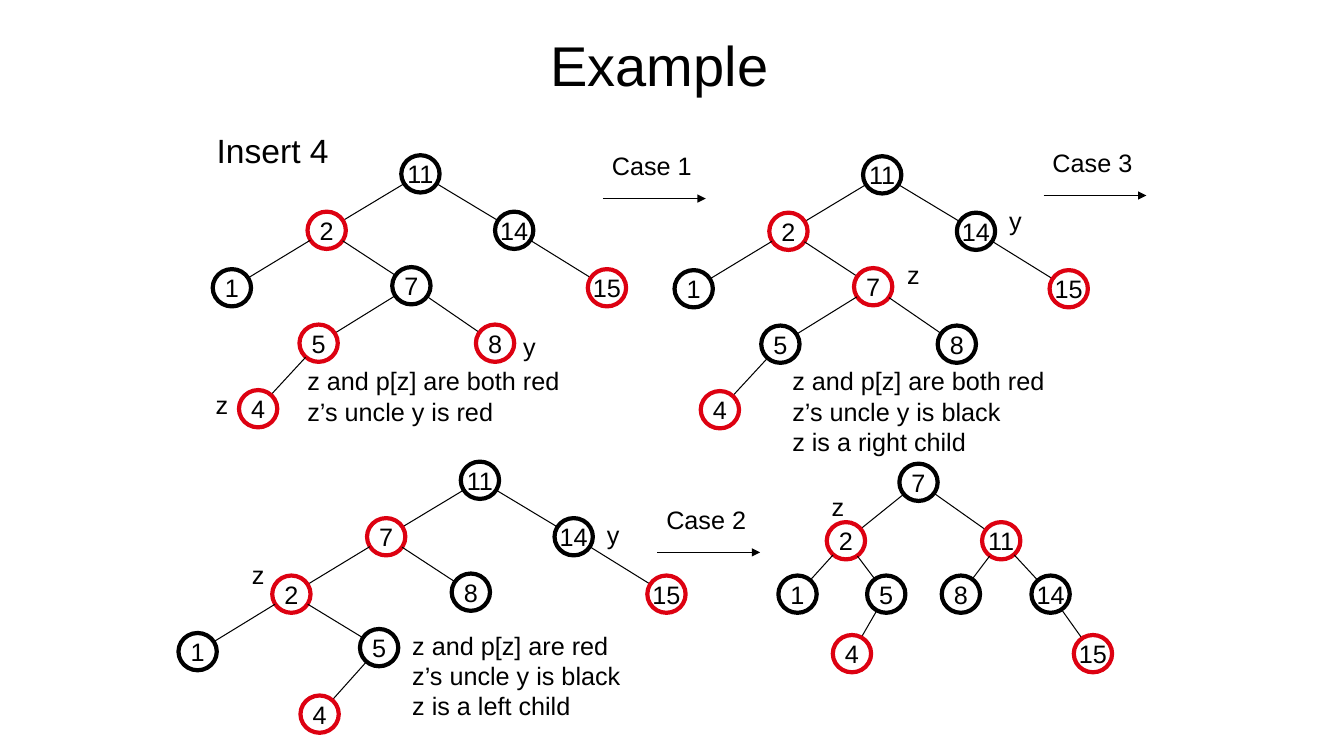
"""Build the slide that traces a red-black tree insertion through its cases."""
from math import hypot

from lxml.etree import SubElement
from pptx import Presentation
from pptx.dml.color import RGBColor
from pptx.enum.shapes import MSO_CONNECTOR, MSO_SHAPE
from pptx.enum.text import MSO_ANCHOR, PP_ALIGN
from pptx.oxml.ns import qn
from pptx.util import Pt

PX = 9144
BLACK = RGBColor(0x00, 0x00, 0x00)
RED = RGBColor(0xDD, 0x01, 0x11)
FONT = "Arial"
NODE_WIDTH, NODE_HEIGHT = 38, 37
RADIUS = 19

TITLE = "Example"
TITLE_BOX = (204, 14, 900, 99)

WIDE = {
    "": (0, 0), "L": (-93, 56), "R": (93, 56), "LL": (-187, 113),
    "LR": (-9, 111), "RR": (185, 113), "LRL": (-101, 168), "LRR": (74, 168),
    "LRLL": (-161, 233), "LLL": (-280, 170), "LLR": (-100, 166),
    "LLRL": (-159, 232),
}
COMPACT = {
    "": (0, 0), "L": (-72, 58), "R": (82, 58), "LL": (-120, 111),
    "LR": (-32, 111), "RL": (42, 111), "RR": (131, 111),
    "LRL": (-66, 170), "RRR": (173, 170),
}
TREES = [
    (WIDE, (398, 154),
     {"": 11, "L": 2, "R": 14, "LL": 1, "LR": 7, "RR": 15, "LRL": 5, "LRR": 8, "LRLL": 4},
     {2, 15, 5, 8, 4}),
    (WIDE, (856, 155),
     {"": 11, "L": 2, "R": 14, "LL": 1, "LR": 7, "RR": 15, "LRL": 5, "LRR": 8, "LRLL": 4},
     {2, 15, 7, 4}),
    (WIDE, (457, 458),
     {"": 11, "L": 7, "R": 14, "LL": 2, "LR": 8, "RR": 15, "LLL": 1, "LLR": 5, "LLRL": 4},
     {7, 2, 15, 4}),
    (COMPACT, (892, 460),
     {"": 7, "L": 2, "R": 11, "LL": 1, "LR": 5, "RL": 8, "RR": 14, "LRL": 4, "RRR": 15},
     {2, 11, 4, 15}),
]
HEADING = ("Insert 4", (205, 124, 131, 50))
NODE_LABELS = [
    ("y", 509, 324), ("z", 204, 381), ("z", 890, 252), ("y", 991, 199),
    ("z", 240, 550), ("y", 592, 510), ("z", 815, 483),
]
CASES = [("Case 1", 597, 144), ("Case 3", 1034, 141), ("Case 2", 651, 495)]
NOTES = [
    (["z and p[z] are both red", "z’s uncle y is red"], (295, 358, 270, 70)),
    (["z and p[z] are both red", "z’s uncle y is black", "z is a right child"],
     (776, 358, 270, 100)),
    (["z and p[z] are red", "z’s uncle y is black", "z is a left child"],
     (399, 620, 227, 100)),
]


def emu(*lengths):
    return [round(length * PX) for length in lengths]


def write(frame, lines, size=18, align=PP_ALIGN.LEFT, anchor=MSO_ANCHOR.TOP):
    frame.word_wrap = False
    frame.vertical_anchor = anchor
    for index, line in enumerate(lines):
        paragraph = frame.add_paragraph() if index else frame.paragraphs[0]
        paragraph.alignment = align
        run = paragraph.add_run()
        run.text = line
        run.font.name = FONT
        run.font.size = Pt(size)
        run.font.color.rgb = BLACK


def add_text(slide, lines, box, size=18):
    write(slide.shapes.add_textbox(*emu(*box)).text_frame, lines, size)


def add_line(slide, start, end, arrow=False):
    line = slide.shapes.add_connector(MSO_CONNECTOR.STRAIGHT, *emu(*start, *end))
    line.line.color.rgb = BLACK
    line.line.width = Pt(0.75)
    properties = line._element.spPr
    if arrow:
        SubElement(properties.find(qn("a:ln")), qn("a:tailEnd"), type="triangle")
    SubElement(properties, qn("a:effectLst"))


def add_edge(slide, parent, child):
    dx, dy = child[0] - parent[0], child[1] - parent[1]
    trim = RADIUS / hypot(dx, dy)
    start = (parent[0] + dx * trim, parent[1] + dy * trim)
    end = (child[0] - dx * trim, child[1] - dy * trim)
    add_line(slide, start, end)


def add_node(slide, key, center, color):
    left, top = center[0] - NODE_WIDTH / 2, center[1] - NODE_HEIGHT / 2
    node = slide.shapes.add_shape(MSO_SHAPE.OVAL, *emu(left, top, NODE_WIDTH, NODE_HEIGHT))
    node.shadow.inherit = False
    node.fill.background()
    node.line.color.rgb = color
    node.line.width = Pt(3)
    write(node.text_frame, [str(key)], align=PP_ALIGN.CENTER, anchor=MSO_ANCHOR.MIDDLE)


def add_tree(slide, layout, root, keys, red_keys):
    centers = {
        slot: (root[0] + layout[slot][0] + NODE_WIDTH / 2,
               root[1] + layout[slot][1] + NODE_HEIGHT / 2)
        for slot in keys
    }
    for slot, key in keys.items():
        if slot:
            add_edge(slide, centers[slot[:-1]], centers[slot])
        add_node(slide, key, centers[slot], RED if key in red_keys else BLACK)


def main():
    deck = Presentation()
    deck.slide_width, deck.slide_height = emu(1333, 750)
    slide = deck.slides.add_slide(deck.slide_layouts[5])
    title = slide.shapes.title
    title.left, title.top, title.width, title.height = emu(*TITLE_BOX)
    write(title.text_frame, [TITLE], 40, PP_ALIGN.CENTER, MSO_ANCHOR.MIDDLE)

    for tree in TREES:
        add_tree(slide, *tree)
    add_text(slide, [HEADING[0]], HEADING[1], 24)
    for label, left, top in NODE_LABELS:
        add_text(slide, [label], (left, top, 33, 40))
    for case, left, top in CASES:
        add_text(slide, [case], (left, top, 99, 40))
        add_line(slide, (left + 1, top + 53), (left + 103, top + 53), arrow=True)
    for lines, box in NOTES:
        add_text(slide, lines, box)
    deck.save("out.pptx")


if __name__ == "__main__":
    main()
